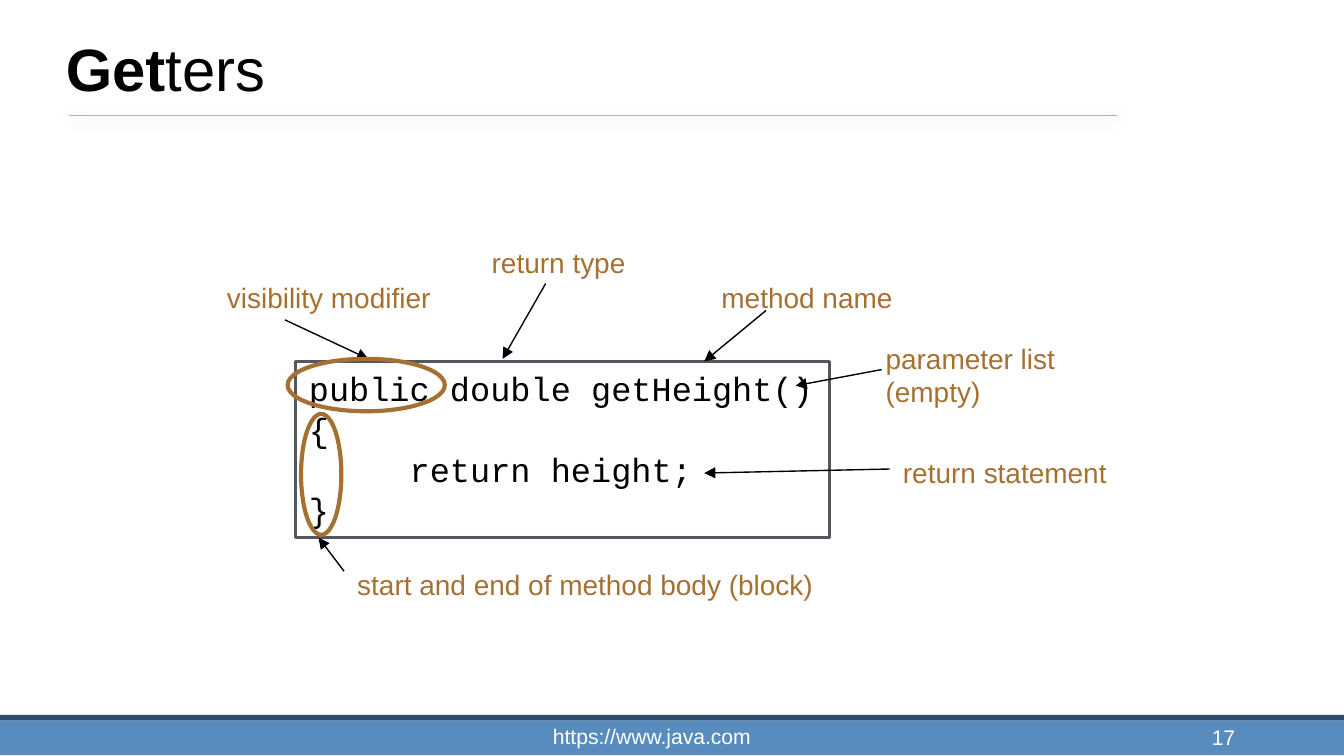
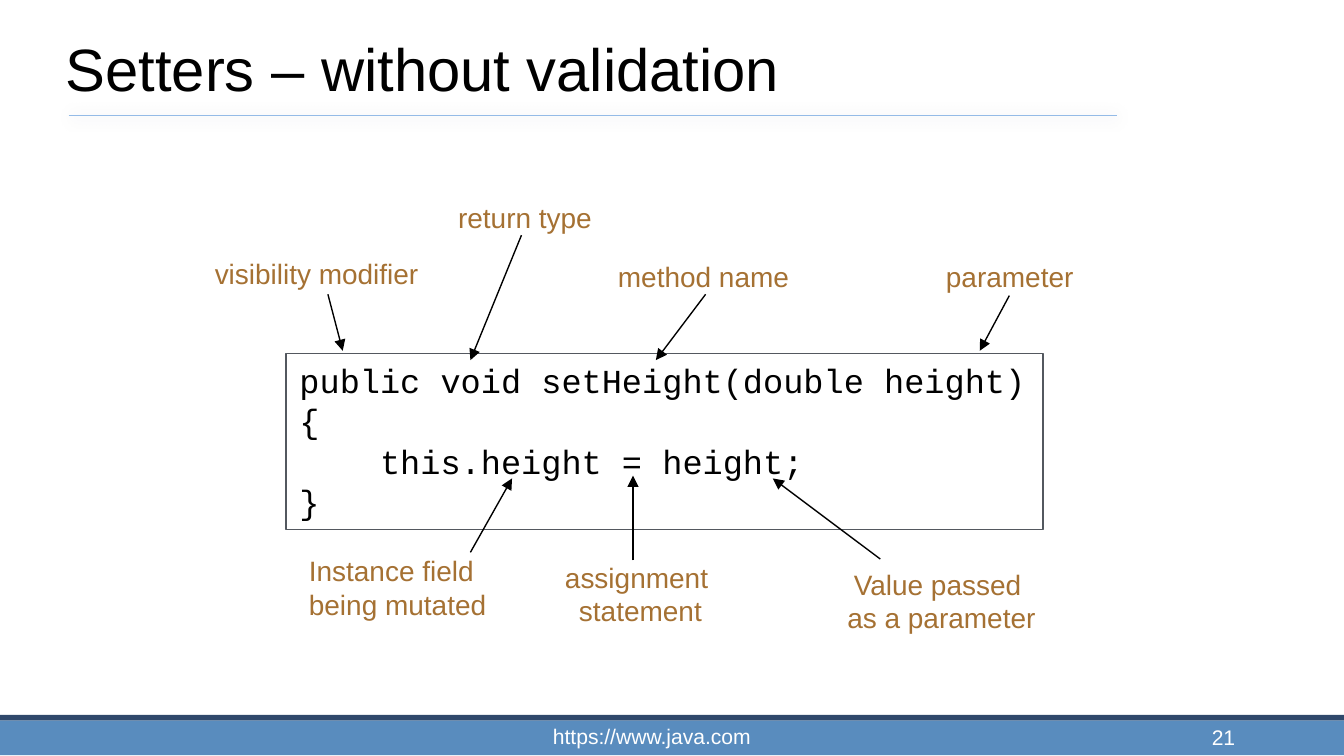
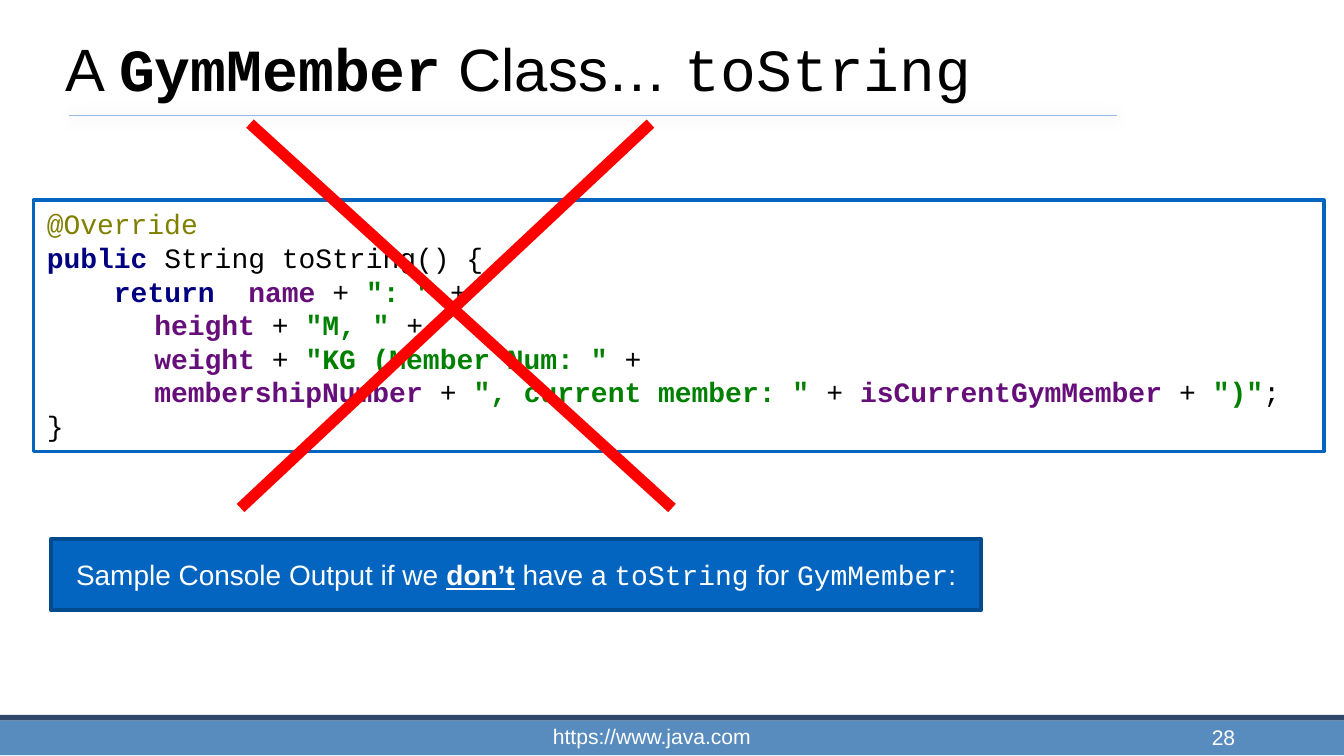
import collections
import dataclasses

import lxml.etree
import pptx
import pptx.dml.color
import pptx.enum.shapes
import pptx.enum.text
import pptx.oxml.ns
import pptx.util

Inches = pptx.util.Inches
Pt = pptx.util.Pt
SHAPE = pptx.enum.shapes.MSO_SHAPE
ALIGN = pptx.enum.text.PP_ALIGN
ANCHOR = pptx.enum.text.MSO_ANCHOR
qn = pptx.oxml.ns.qn

Box = collections.namedtuple("Box", "x y w h")


@dataclasses.dataclass(frozen=True)
class Theme:
    """Colours, fonts and type sizes of the deck."""

    sans: str = "Arial"
    mono: str = "Courier New"
    title: float = 32
    code: float = 18
    body: float = 15
    footer: float = 11.25
    black: str = "000000"
    white: str = "FFFFFF"
    band: str = "598CBE"
    band_edge: str = "2F486B"
    rule: str = "94BBE7"
    rule_shadow: str = "003D62"
    frame: str = "53585F"
    label: str = "A57133"
    panel: str = "0365C0"
    panel_edge: str = "024B8E"
    cross: str = "FF0000"
    annotation: str = "808000"
    keyword: str = "000080"
    field: str = "660E7A"
    string: str = "008000"


T = Theme()
CODE_INSETS = (0.1, 0.05, 0.1, 0.05)
TITLE_INSETS = (0.06, 0.06, 0.06, 0.06)
MONO = {"name": T.mono}
MONO_BOLD = {"name": T.mono, "bold": True}
SYNTAX = {
    "annotation": {"color": T.annotation},
    "keyword": {"color": T.keyword, "bold": True},
    "field": {"color": T.field, "bold": True},
    "string": {"color": T.string, "bold": True},
    "plain": {},
}


def rgb(color):
    """Return a colour object for a hex string."""
    return pptx.dml.color.RGBColor.from_string(color)


def style_font(font, name=None, size=None, color=None, bold=None, underline=None):
    """Set the given font properties."""
    if name:
        font.name = name
    if size:
        font.size = Pt(size)
    if color:
        font.color.rgb = rgb(color)
    if bold is not None:
        font.bold = bold
    if underline is not None:
        font.underline = underline


def add_tabs(p, stops):
    """Give a paragraph left tab stops, in inches."""
    tabs = lxml.etree.SubElement(p._p.get_or_add_pPr(), qn("a:tabLst"))
    for stop in stops:
        lxml.etree.SubElement(tabs, qn("a:tab"), pos=str(Inches(stop)), algn="l")


def write(sp, lines, font, align=ALIGN.LEFT, anchor=ANCHOR.TOP, insets=CODE_INSETS,
          tabs=(), wrap=True):
    """Fill a shape with lines, each a string or a list of (text, font) runs."""
    tf = sp.text_frame
    tf.word_wrap = wrap
    if not wrap:
        tf.auto_size = pptx.enum.text.MSO_AUTO_SIZE.SHAPE_TO_FIT_TEXT
    tf.vertical_anchor = anchor
    tf.margin_left, tf.margin_top, tf.margin_right, tf.margin_bottom = map(Inches, insets)
    for i, line in enumerate(lines):
        p = tf.add_paragraph() if i else tf.paragraphs[0]
        p.alignment = align
        if tabs:
            add_tabs(p, tabs)
        style_font(p.font, **font)
        for text, override in [(line, {})] if isinstance(line, str) else line:
            r = p.add_run()
            r.text = text
            style_font(r.font, **{**font, **override} if override else {})


def add_text(s, box, lines, font, **layout):
    """Add a text box."""
    write(s.shapes.add_textbox(*map(Inches, box)), lines, font, **layout)


def add_shape(s, kind, box, fill=None, line=None, width=1):
    """Add a flat preset shape."""
    sp = s.shapes.add_shape(kind, *map(Inches, box))
    sp.shadow.inherit = False
    if fill:
        sp.fill.solid()
        sp.fill.fore_color.rgb = rgb(fill)
    else:
        sp.fill.background()
    if line:
        sp.line.color.rgb = rgb(line)
        sp.line.width = Pt(width)
    else:
        sp.line.fill.background()
    return sp


def add_line(s, start, end, color, width, arrow=False):
    """Add a straight line and return its effect list."""
    straight = pptx.enum.shapes.MSO_CONNECTOR.STRAIGHT
    sp = s.shapes.add_connector(straight, *map(Inches, (*start, *end)))
    sp._element.remove(sp._element.find(qn("p:style")))
    sp.line.color.rgb = rgb(color)
    sp.line.width = Pt(width)
    if arrow:
        lxml.etree.SubElement(sp.line._get_or_add_ln(), qn("a:tailEnd"), type="triangle")
    return lxml.etree.SubElement(sp._element.spPr, qn("a:effectLst"))


def add_rule(s, start, end):
    """Draw the softly shadowed rule under the title."""
    effects = add_line(s, start, end, T.rule, 1)
    shadow = lxml.etree.SubElement(
        effects, qn("a:outerShdw"), blurRad=str(Pt(8)), dist=str(Pt(1)), dir=str(45 * 60000),
        rotWithShape="0")
    color = lxml.etree.SubElement(shadow, qn("a:srgbClr"), val=T.rule_shadow)
    lxml.etree.SubElement(color, qn("a:alpha"), val="20000")


def add_frame(prs, title, number):
    """Start a slide with its title, rule, band and footer."""
    s = prs.slides.add_slide(prs.slide_layouts[6])
    add_shape(s, SHAPE.RECTANGLE, (0, 5.36, 10, 0.26), T.band)
    add_shape(s, SHAPE.RECTANGLE, (0, 5.32, 10, 0.04), T.band_edge)
    add_rule(s, (0.51, 0.86), (8.31, 0.86))
    add_text(s, (0.43, 0, 8.5, 0.83), [title],
             {"name": T.sans, "size": T.title, "color": T.black},
             anchor=ANCHOR.BOTTOM, insets=TITLE_INSETS)
    footer = {"name": T.sans, "size": T.footer, "color": T.white}
    add_text(s, (3.52, 5.35, 2.66, 0.26), ["https://www.java.com"], footer,
             align=ALIGN.CENTER, anchor=ANCHOR.BOTTOM, insets=(0.08, 0.04, 0.08, 0.04))
    add_text(s, (7.17, 5.33, 2.08, 0.31), [str(number)], footer,
             align=ALIGN.RIGHT, anchor=ANCHOR.BOTTOM, insets=TITLE_INSETS)
    return s


def add_annotated_code(s, box, code, border, callouts, rings=()):
    """Draw a code box with labels, arrows and rings offset from its corner."""
    def place(x, y):
        return box.x + x, box.y + y

    sp = add_shape(s, SHAPE.RECTANGLE, box, line=T.frame, width=border)
    write(sp, code, {"name": T.mono, "size": T.code, "color": T.black})
    font = {"name": T.sans, "size": T.body, "color": T.label}
    for lines, (x, y, w, h), align, start, end in callouts:
        add_text(s, (*place(x, y), w, h), lines, font, align=align, wrap=len(lines) == 1)
        add_line(s, place(*start), place(*end), T.black, 0.75, arrow=True)
    for x, y, w, h in rings:
        add_shape(s, SHAPE.OVAL, (*place(x, y), w, h), line=T.label, width=2.25)


def add_code_listing(s, box, listing):
    """Draw a framed listing with syntax colours."""
    sp = add_shape(s, SHAPE.RECTANGLE, box, T.white, T.panel, 2)
    lines = [[(text, SYNTAX[role]) for text, role in line] for line in listing]
    write(sp, lines, {"name": T.mono, "size": T.body, "color": T.black}, tabs=(0.4, 0.8))


def add_cross(s, box):
    """Strike out an area with two thick diagonals."""
    right, bottom = box.x + box.w, box.y + box.h
    add_line(s, (box.x + 0.07, box.y), (right, bottom), T.cross, 6)
    add_line(s, (right - 0.16, box.y), (box.x, bottom), T.cross, 6)


def add_banner(s, box, runs):
    """Draw a filled banner with one centred line."""
    sp = add_shape(s, SHAPE.ROUNDED_RECTANGLE, box, T.panel, T.panel_edge, 2)
    sp.adjustments[0] = 0
    write(sp, [runs], {"name": T.sans, "size": T.body, "color": T.white},
          align=ALIGN.CENTER, anchor=ANCHOR.MIDDLE)


def build_getters(prs):
    """Build the slide on getters."""
    s = add_frame(prs, [("Get", {"bold": True}), ("ters", {})], 17)
    code = ["public double getHeight()", "{", "     return height;", "}"]
    left = ALIGN.LEFT
    callouts = [
        (["visibility modifier"], (-0.61, -0.65, 1.76, 0.35), left, (-0.08, -0.31), (0.54, -0.02)),
        (["return type"], (1.36, -0.91, 1.29, 0.35), left, (1.86, -0.58), (1.54, -0.02)),
        (["method name"], (3.07, -0.65, 1.5, 0.35), left, (3.5, -0.38), (3.04, 0)),
        (["parameter list (empty)"], (4.29, -0.2, 1.69, 0.61), left, (4.36, 0.06), (3.72, 0.18)),
        (["return statement"], (4.42, 0.65, 1.73, 0.35), left, (4.42, 0.8), (3.04, 0.83)),
        (["start and end of method body (block)"], (0.36, 1.48, 3.73, 0.35), left,
         (0.36, 1.56), (0.17, 1.31)),
    ]
    rings = [(-0.06, -0.02, 1.17, 0.39), (0.04, 0.39, 0.3, 0.9)]
    add_annotated_code(s, Box(2.2, 2.69, 3.97, 1.31), code, 1.5, callouts, rings)


def build_setters(prs):
    """Build the slide on setters."""
    s = add_frame(prs, "Setters – without validation", 21)
    code = ["public void setHeight(double height)", "{", "    this.height = height;", "}"]
    left, center = ALIGN.LEFT, ALIGN.CENTER
    callouts = [
        (["visibility modifier"], (-0.63, -0.77, 1.76, 0.35), left, (0.31, -0.44), (0.42, -0.02)),
        (["return type"], (1.18, -1.19, 1.22, 0.35), left, (1.75, -0.88), (1.37, 0.05)),
        (["method name"], (2.37, -0.75, 1.5, 0.35), left, (3.12, -0.44), (2.75, 0.05)),
        (["parameter"], (4.81, -0.75, 1.17, 0.35), left, (5.38, -0.43), (5.16, -0.02)),
        (["Instance field", "being mutated"], (0.07, 1.44, 1.57, 0.61), left,
         (1.37, 1.48), (1.68, 0.93)),
        (["assignment ", "statement"], (1.96, 1.49, 1.35, 0.61), center,
         (2.58, 1.54), (2.58, 0.91)),
        (["Value passed ", "as a parameter"], (4.06, 1.54, 1.63, 0.61), center,
         (4.42, 1.53), (3.62, 0.93)),
    ]
    add_annotated_code(s, Box(2.13, 2.63, 5.63, 1.31), code, 1, callouts)


def build_to_string(prs):
    """Build the slide on a class without toString."""
    s = add_frame(prs, [("A ", {}), ("GymMember", MONO_BOLD), (" Class… ", {}),
                        ("toString", MONO)], 28)
    plus = ("+ ", "plain")
    end_plus = ("+", "plain")
    listing = [
        [("@Override", "annotation")],
        [("public ", "keyword"), ("String toString() {", "plain")],
        [("    ", "plain"), ("return  ", "keyword"), ("name ", "field"), plus,
         ('": " ', "string"), end_plus],
        [("\t\theight ", "field"), plus, ('"M, " ', "string"), end_plus],
        [("\t\tweight ", "field"), plus, ('"KG (Member Num: " ', "string"), end_plus],
        [("\t\tmembershipNumber ", "field"), plus, ('", current member: " ', "string"), plus,
         ("isCurrentGymMember ", "field"), plus, ('")"', "string"), (";", "plain")],
        [("}", "plain")],
    ]
    add_code_listing(s, Box(0.25, 1.49, 9.6, 1.87), listing)
    add_cross(s, Box(1.79, 0.92, 3.21, 2.86))
    add_banner(s, Box(0.38, 4.01, 6.92, 0.53), [
        ("Sample Console Output if we ", {}),
        ("don’t", {"bold": True, "underline": True}),
        (" have a ", {}), ("toString", MONO), (" for ", {}), ("GymMember", MONO), (":", {}),
    ])


def main():
    """Build and save the deck."""
    prs = pptx.Presentation()
    prs.slide_width = Inches(10)
    prs.slide_height = prs.slide_width * 9 // 16
    build_getters(prs)
    build_setters(prs)
    build_to_string(prs)
    prs.save("out.pptx")


if __name__ == "__main__":
    main()
